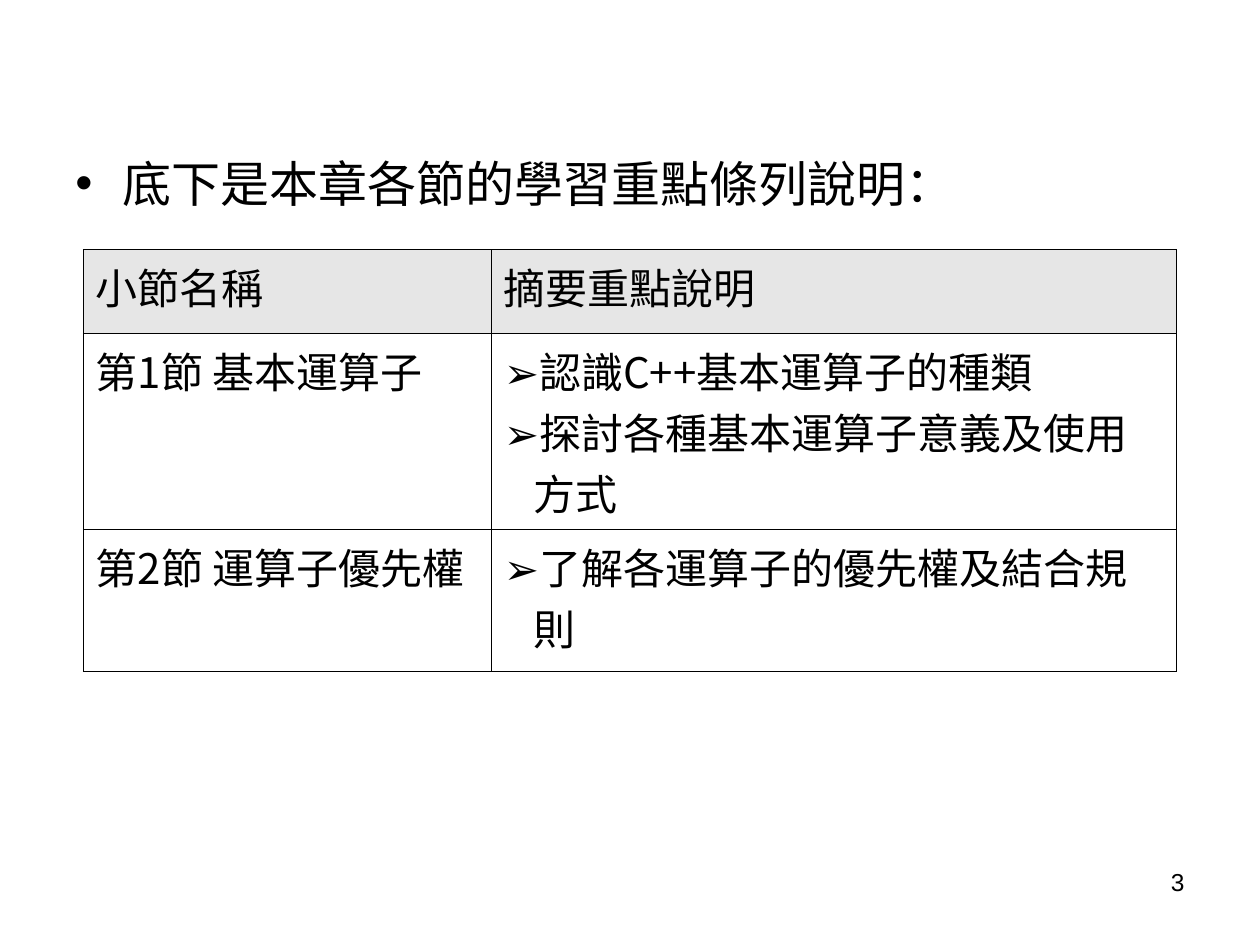
from lxml.etree import SubElement
from pptx import Presentation
from pptx.dml.color import RGBColor
from pptx.enum.text import PP_ALIGN
from pptx.oxml import parse_xml
from pptx.oxml.ns import nsdecls, qn
from pptx.util import Pt

BLACK = "000000"
HEADER_FILL = "E6E6E6"
TABLE_FONT = "Noto Sans CJK SC"
INTRO = "底下是本章各節的學習重點條列說明："
HEADERS = ["小節名稱", "摘要重點說明"]
SECTIONS = [
    ("第1節 基本運算子", ["認識C++基本運算子的種類", "探討各種基本運算子意義及使用方式"]),
    ("第2節 運算子優先權", ["了解各運算子的優先權及結合規則"]),
]
PAGE_NUMBER = "3"
COLUMN_WIDTHS = [233.28, 391.68]
ROW_HEIGHTS = [48, 112, 81]


def color(value):
    return RGBColor.from_string(value)


def write_text(frame, lines, size=24, font="Arial", bullet=None, indent=0, align=None):
    frame.word_wrap = True
    for index, line in enumerate(lines):
        paragraph = frame.paragraphs[0] if index == 0 else frame.add_paragraph()
        if align is not None:
            paragraph.alignment = align
        if bullet:
            properties = paragraph._p.get_or_add_pPr()
            properties.set("marL", str(Pt(indent)))
            properties.set("indent", str(-Pt(indent)))
            SubElement(properties, qn("a:buFont"), typeface=font)
            SubElement(properties, qn("a:buChar"), char=bullet)
        run = paragraph.add_run()
        run.text = line
        run.font.size = Pt(size)
        run.font.name = font
        run.font.color.rgb = color(BLACK)
        SubElement(run._r.get_or_add_rPr(), qn("a:ea"), typeface=TABLE_FONT)


def add_text(slide, left, top, width, height, lines, **text_format):
    box = slide.shapes.add_textbox(Pt(left), Pt(top), Pt(width), Pt(height))
    write_text(box.text_frame, lines, **text_format)


def fill_cell(cell, lines, fill=None, **text_format):
    write_text(cell.text_frame, lines, font=TABLE_FONT, **text_format)
    if fill:
        cell.fill.solid()
        cell.fill.fore_color.rgb = color(fill)
    else:
        cell.fill.background()
    properties = cell._tc.get_or_add_tcPr()
    for position, side in enumerate(("lnL", "lnR", "lnT", "lnB")):
        border = parse_xml(
            f'<a:{side} {nsdecls("a")} w="{Pt(0.45)}"><a:solidFill>'
            f'<a:srgbClr val="{BLACK}"/></a:solidFill></a:{side}>'
        )
        properties.insert(position, border)


def add_section_table(slide):
    table = slide.shapes.add_table(
        len(ROW_HEIGHTS), len(COLUMN_WIDTHS), Pt(47.52), Pt(142.56),
        Pt(sum(COLUMN_WIDTHS)), Pt(sum(ROW_HEIGHTS)),
    ).table
    table.first_row = False
    table.horz_banding = False
    for column, width in zip(table.columns, COLUMN_WIDTHS):
        column.width = Pt(width)
    for row, height in zip(table.rows, ROW_HEIGHTS):
        row.height = Pt(height)
    for column, header in enumerate(HEADERS):
        fill_cell(table.cell(0, column), [header], fill=HEADER_FILL)
    for row, (name, points) in enumerate(SECTIONS, start=1):
        fill_cell(table.cell(row, 0), [name])
        fill_cell(table.cell(row, 1), points, bullet="➢", indent=17)


def main():
    presentation = Presentation()
    presentation.slide_width = Pt(720)
    presentation.slide_height = Pt(540)
    slide = presentation.slides.add_slide(presentation.slide_layouts[6])
    add_text(slide, 36, 84.24, 624.24, 396, [INTRO], size=28, bullet="•", indent=27)
    add_section_table(slide)
    add_text(slide, 516.24, 491.76, 167.76, 37.44, [PAGE_NUMBER], size=14, align=PP_ALIGN.RIGHT)
    presentation.save("out.pptx")


if __name__ == "__main__":
    main()
